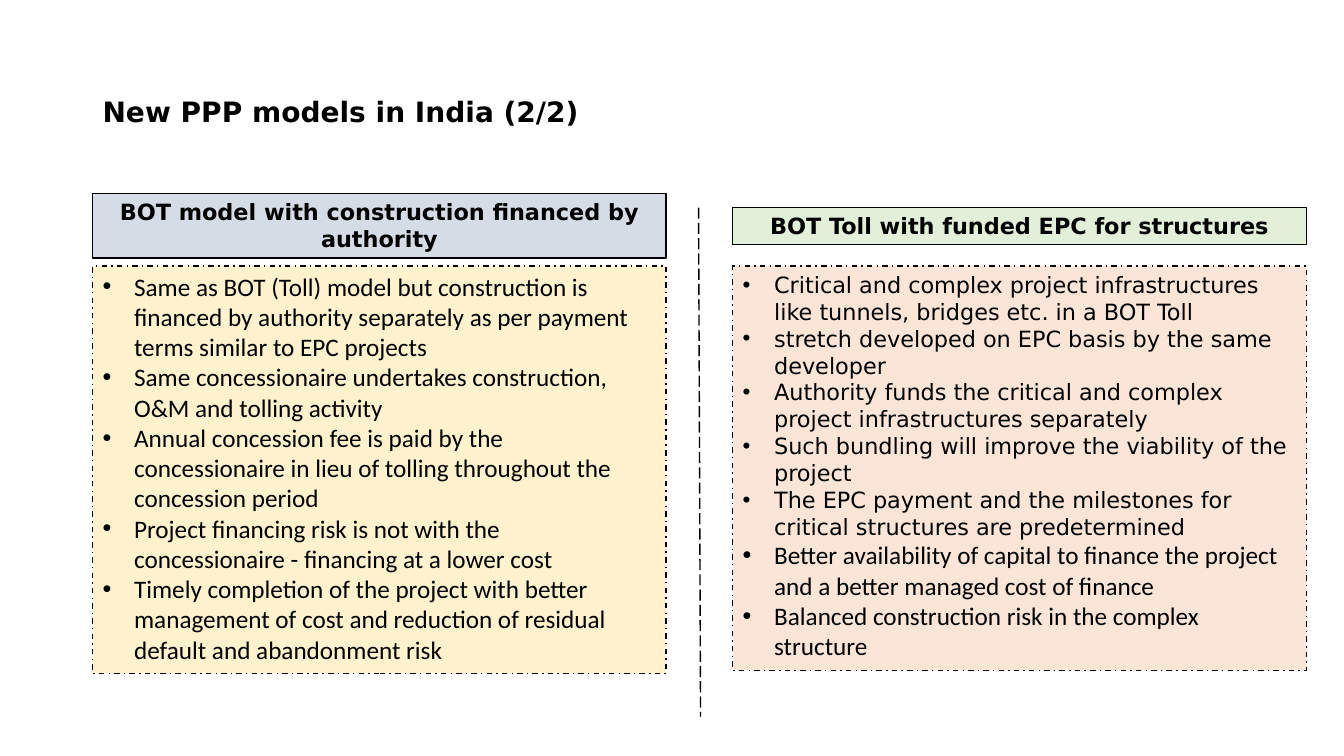
from pptx import Presentation
from pptx.dml.color import RGBColor
from pptx.enum import dml, shapes, text
from pptx.oxml.ns import qn
from pptx.util import Pt
from lxml import etree

BLACK = "000000"
HEADING_FONT = "DejaVu Sans"
BODY_FONT = "Calibri"
COLUMN_WIDTH = 409.7
BODY_TOP = 190.1
INDENT = 22.5

FINANCED_POINTS = [
    "Same as BOT (Toll) model but construction is financed by authority separately as per payment terms similar to EPC projects",
    "Same concessionaire undertakes construction, O&M and tolling activity",
    "Annual concession fee is paid by the concessionaire in lieu of tolling throughout the concession period",
    "Project financing risk is not with the concessionaire - financing at a lower cost",
    "Timely completion of the project with better management of cost and reduction of residual default and abandonment risk",
]
FUNDED_POINTS = [
    "Critical and complex project infrastructures like tunnels, bridges etc. in a BOT Toll",
    "stretch developed on EPC basis by the same developer",
    "Authority funds the critical and complex project infrastructures separately",
    "Such bundling will improve the viability of the project",
    "The EPC payment and the milestones for critical structures are predetermined",
]
FUNDED_BENEFITS = [
    "Better availability of capital to finance the project and a better managed cost of finance",
    "Balanced construction risk in the complex structure",
]


def color(value):
    """Turn a hex string into a colour."""
    return RGBColor.from_string(value)


def set_attributes(target, values):
    """Set each named attribute of the target."""
    for name, value in values.items():
        setattr(target, name, value)


def format_font(font, name, size, bold=False):
    """Give a font its face, size and weight in black."""
    set_attributes(font, {"name": name, "size": Pt(size), "bold": bold})
    font.color.rgb = color(BLACK)


def format_line(line, dash):
    """Draw a thin black line with the given dash."""
    set_attributes(line, {"width": Pt(1), "dash_style": dash})
    line.color.rgb = color(BLACK)


def add_title(slide, title):
    """Add the slide title."""
    frame = slide.shapes.add_textbox(Pt(66.2), Pt(28.8), Pt(828), Pt(104.4)).text_frame
    set_attributes(frame, {"word_wrap": True, "vertical_anchor": text.MSO_ANCHOR.MIDDLE})
    paragraph = frame.paragraphs[0]
    set_attributes(paragraph, {"text": title, "line_spacing": 0.9})
    format_font(paragraph.font, HEADING_FONT, 20, True)


def add_box(slide, left, top, height, fill, dash):
    """Add a filled, outlined rectangle and return its text frame."""
    shape = slide.shapes.add_shape(
        shapes.MSO_SHAPE.RECTANGLE, Pt(left), Pt(top), Pt(COLUMN_WIDTH), Pt(height))
    shape.shadow.inherit = False
    shape.fill.solid()
    shape.fill.fore_color.rgb = color(fill)
    format_line(shape.line, dash)
    frame = shape.text_frame
    set_attributes(frame, {"word_wrap": True, "vertical_anchor": text.MSO_ANCHOR.TOP})
    return frame


def add_heading(slide, left, top, height, fill, heading):
    """Add a column heading."""
    frame = add_box(slide, left, top, height, fill, dml.MSO_LINE.SOLID)
    paragraph = frame.paragraphs[0]
    set_attributes(paragraph, {"text": heading, "alignment": text.PP_ALIGN.CENTER})
    format_font(paragraph.font, HEADING_FONT, 16, True)


def add_bullet(paragraph):
    """Give a paragraph a hanging bullet."""
    properties = paragraph._p.get_or_add_pPr()
    properties.set("marL", str(Pt(INDENT)))
    properties.set("indent", str(-Pt(INDENT)))
    etree.SubElement(properties, qn("a:buFont")).set("typeface", "Arial")
    etree.SubElement(properties, qn("a:buChar")).set("char", "•")


def add_body(slide, left, height, fill, groups):
    """Add a bulleted box from groups of font, size and points."""
    frame = add_box(slide, left, BODY_TOP, height, fill, dml.MSO_LINE.DASH_DOT)
    items = [(point, font, size) for font, size, points in groups for point in points]
    for index, (point, font, size) in enumerate(items):
        paragraph = frame.add_paragraph() if index else frame.paragraphs[0]
        add_bullet(paragraph)
        set_attributes(paragraph, {"text": point, "alignment": text.PP_ALIGN.LEFT})
        format_font(paragraph.font, font, size)


def add_divider(slide):
    """Add the dashed line between the columns."""
    connector = slide.shapes.add_connector(
        shapes.MSO_CONNECTOR.STRAIGHT, Pt(499), Pt(148.3), Pt(500.4), Pt(511.9))
    format_line(connector.line, dml.MSO_LINE.LONG_DASH)
    etree.SubElement(connector._element.spPr, qn("a:effectLst"))


def main():
    """Build the slide and save it."""
    presentation = Presentation()
    set_attributes(presentation, {"slide_width": Pt(960), "slide_height": Pt(540)})
    slide = presentation.slides.add_slide(presentation.slide_layouts[6])
    left, right = 66.2, 523.4
    add_title(slide, "New PPP models in India (2/2)")
    add_heading(slide, left, 138.2, 46.1, "D6DCE5",
                "BOT model with construction financed by authority")
    add_body(slide, left, 290.9, "FFF2CC", [(BODY_FONT, 18, FINANCED_POINTS)])
    add_divider(slide)
    add_heading(slide, right, 148.3, 26.6, "E2F0D9",
                "BOT Toll with funded EPC for structures")
    add_body(slide, right, 288.7, "FBE5D6",
             [(HEADING_FONT, 16, FUNDED_POINTS), (BODY_FONT, 18, FUNDED_BENEFITS)])
    presentation.save("out.pptx")


if __name__ == "__main__":
    main()
